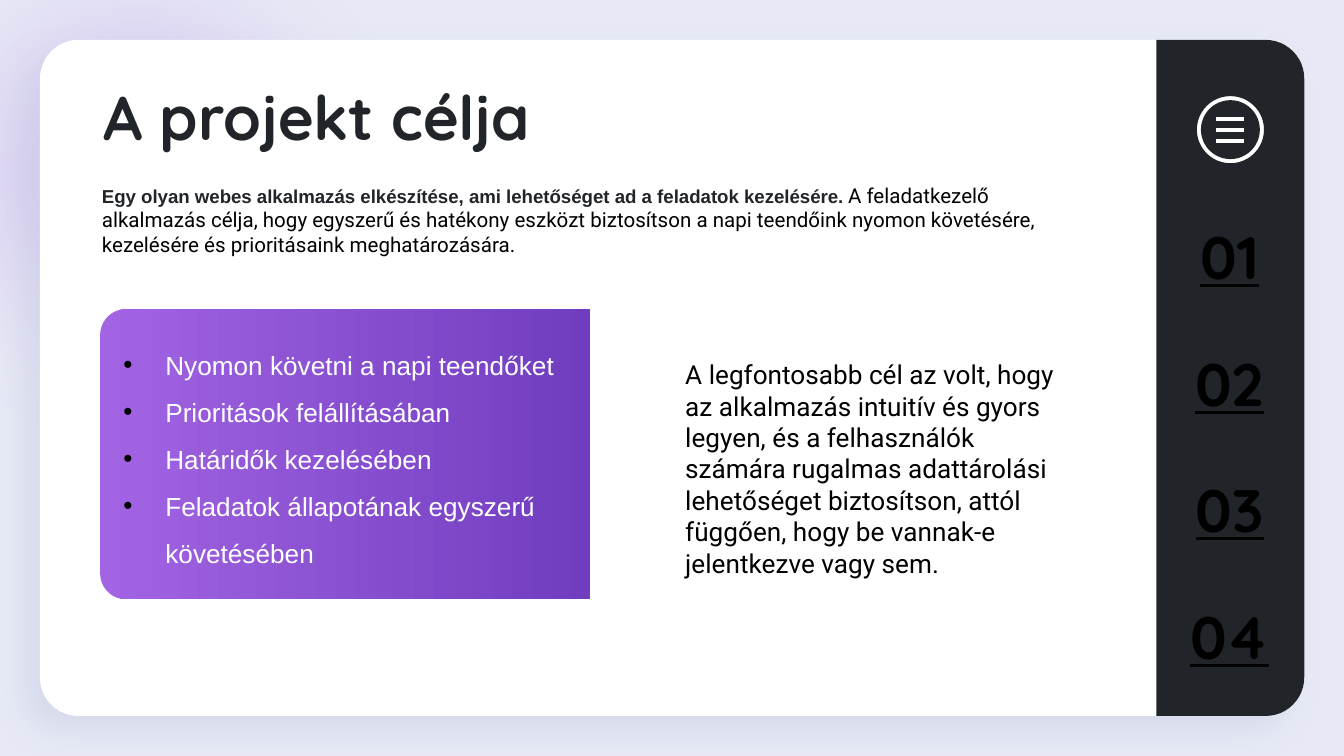
from dataclasses import dataclass

from lxml import etree
from pptx import Presentation
from pptx.dml.color import RGBColor
from pptx.enum.shapes import MSO_SHAPE
from pptx.enum.text import MSO_ANCHOR, MSO_AUTO_SIZE, PP_ALIGN
from pptx.oxml import parse_xml
from pptx.oxml.ns import nsdecls, qn
from pptx.util import Pt

OVAL = MSO_SHAPE.OVAL
DONUT = MSO_SHAPE.DONUT
RECTANGLE = MSO_SHAPE.RECTANGLE
ROUNDED = MSO_SHAPE.ROUNDED_RECTANGLE
ROUNDED_TOP = MSO_SHAPE.ROUND_2_SAME_RECTANGLE
TOP, MIDDLE = MSO_ANCHOR.TOP, MSO_ANCHOR.MIDDLE
LEFT, CENTER = PP_ALIGN.LEFT, PP_ALIGN.CENTER
FIXED, GROW = MSO_AUTO_SIZE.NONE, MSO_AUTO_SIZE.SHAPE_TO_FIT_TEXT


@dataclass(frozen=True)
class Theme:
    background: str = "E7E9F6"
    white: str = "FFFFFF"
    black: str = "000000"
    dark: str = "212428"
    violet: str = "A264E3"
    purple: str = "703DBF"
    shadow: str = "C7CCE2"
    heading_font: str = "Quicksand"
    body_font: str = "Roboto"
    list_font: str = "Arial"
    title_size: int = 33
    number_size: int = 32
    text_size: int = 14
    intro_size: int = 11
    lead_size: int = 10


THEME = Theme()
TITLE = {"name": THEME.heading_font, "size": Pt(THEME.title_size), "bold": True, "color": THEME.dark}
NUMBER = {"name": THEME.heading_font, "size": Pt(THEME.number_size), "bold": True,
          "underline": True, "color": THEME.black}
LEAD = {"name": THEME.list_font, "size": Pt(THEME.lead_size), "bold": True, "color": THEME.dark}
INTRO = {"name": THEME.body_font, "size": Pt(THEME.intro_size), "color": THEME.black}
GOAL = {"name": THEME.list_font, "size": Pt(THEME.text_size), "color": THEME.white}
BODY = {"name": THEME.body_font, "size": Pt(THEME.text_size), "color": THEME.black}

GOALS = [
    "Nyomon követni a napi teendőket",
    "Prioritások felállításában",
    "Határidők kezelésében",
    "Feladatok állapotának egyszerű követésében",
]
LEAD_TEXT = "Egy olyan webes alkalmazás elkészítése, ami lehetőséget ad a feladatok kezelésére. "
INTRO_TEXT = (
    "A feladatkezelő alkalmazás célja, hogy egyszerű és hatékony eszközt biztosítson a napi "
    "teendőink nyomon követésére, kezelésére és prioritásaink meghatározására."
)
BODY_TEXT = (
    "A legfontosabb cél az volt, hogy az alkalmazás intuitív és gyors legyen, és a felhasználók "
    "számára rugalmas adattárolási lehetőséget biztosítson, attól függően, hogy be vannak-e "
    "jelentkezve vagy sem."
)


def add_shape(slide, kind, box, color=None, adjustments=(), rotation=0, outline=None):
    shape = slide.shapes.add_shape(kind, *map(Pt, box))
    shape.rotation = rotation
    for index, value in enumerate(adjustments):
        shape.adjustments[index] = value
    if color:
        shape.fill.solid()
        shape.fill.fore_color.rgb = RGBColor.from_string(color)
    else:
        shape.fill.background()
    if outline:
        shape.line.color.rgb = RGBColor.from_string(outline)
        shape.line.width = Pt(0.75)
    else:
        shape.line.fill.background()
    shape.shadow.inherit = False
    return shape


def set_gradient(shape, stops, direction):
    stop_list = "".join(
        f'<a:gs pos="{position * 1000}"><a:srgbClr val="{color}">'
        f'<a:alpha val="{opacity * 1000}"/></a:srgbClr></a:gs>'
        for position, color, opacity in stops
    )
    gradient = parse_xml(
        f'<a:gradFill {nsdecls("a")} rotWithShape="1"><a:gsLst>{stop_list}</a:gsLst>{direction}</a:gradFill>'
    )
    properties = shape.element.spPr
    properties.replace(properties.find(qn("a:noFill")), gradient)


def add_shadow(shape, color, opacity, blur, distance, angle):
    effects = shape.element.spPr.find(qn("a:effectLst"))
    effects.append(parse_xml(
        f'<a:outerShdw {nsdecls("a")} blurRad="{Pt(blur)}" dist="{Pt(distance)}" '
        f'dir="{angle * 60000}" algn="bl" rotWithShape="0"><a:srgbClr val="{color}">'
        f'<a:alpha val="{opacity * 1000}"/></a:srgbClr></a:outerShdw>'
    ))


def add_text(slide, box, paragraphs, margins=(7.2, 3.6, 7.2, 3.6), anchor=TOP, alignment=LEFT, size=FIXED):
    frame = slide.shapes.add_textbox(*map(Pt, box)).text_frame
    left, top, right, bottom = map(Pt, margins)
    settings = {"margin_left": left, "margin_top": top, "margin_right": right, "margin_bottom": bottom,
                "word_wrap": True, "vertical_anchor": anchor, "auto_size": size}
    for name, value in settings.items():
        setattr(frame, name, value)
    for index, runs in enumerate(paragraphs):
        paragraph = frame.add_paragraph() if index else frame.paragraphs[0]
        paragraph.alignment = alignment
        for text, style in runs:
            add_run(paragraph, text, style)
    return frame


def add_run(paragraph, text, style):
    run = paragraph.add_run()
    run.text = text
    for name, value in style.items():
        if name == "color":
            run.font.color.rgb = RGBColor.from_string(value)
        else:
            setattr(run.font, name, value)


def set_bullet(paragraph, color, indent):
    paragraph.line_spacing = 1.5
    properties = paragraph._p.get_or_add_pPr()
    properties.set("marL", str(Pt(indent)))
    properties.set("indent", str(-Pt(indent)))
    bullet_color = etree.SubElement(properties, qn("a:buClr"))
    etree.SubElement(bullet_color, qn("a:srgbClr"), val=color)
    etree.SubElement(properties, qn("a:buFont"), typeface=THEME.list_font)
    etree.SubElement(properties, qn("a:buChar"), char="•")


def add_backdrop(slide):
    glow = add_shape(slide, OVAL, (-93.6, -74.9, 335.5, 335.5))
    set_gradient(
        glow,
        [(0, THEME.violet, 49), (62, THEME.background, 0), (100, THEME.white, 0)],
        '<a:path path="circle"><a:fillToRect l="50000" t="50000" r="50000" b="50000"/></a:path>',
    )
    card = add_shape(slide, ROUNDED, (21.4, 21.4, 677.4, 362.2), THEME.white, [0.057])
    add_shadow(card, THEME.shadow, 47, 16.9, 12, 137)
    add_shape(slide, ROUNDED_TOP, (478, 162.9, 362.2, 79.2), THEME.dark, [0.261, 0], 90)


def add_menu_icon(slide):
    add_shape(slide, DONUT, (640.8, 51.1, 36.7, 36.7), THEME.white, [0.08], outline=THEME.dark)
    for row in range(3):
        add_shape(slide, RECTANGLE, (651.3, 62.5 + 5.8 * row, 15.5, 2.8), THEME.white, outline=THEME.dark)


def add_navigation(slide):
    for index in range(4):
        add_text(slide, (630, 117.4 + 67.95 * index, 57.6, 38.8), [[(f"{index + 1:02}", NUMBER)]],
                 (7.2, 0, 7.2, 0), MIDDLE, CENTER, GROW)


def add_goals(slide):
    panel = add_shape(slide, ROUNDED_TOP, (107.3, 111.9, 155.5, 262.8), None, [0.089, 0], 270)
    set_gradient(panel, [(0, THEME.violet, 100), (100, THEME.purple, 100)], '<a:lin ang="5400000" scaled="0"/>')
    frame = add_text(slide, (59, 175, 257.8, 131), [[(goal, GOAL)] for goal in GOALS], size=GROW)
    for paragraph in frame.paragraphs:
        set_bullet(paragraph, THEME.black, 22.5)


def main():
    presentation = Presentation()
    presentation.slide_width, presentation.slide_height = Pt(720), Pt(405)
    slide = presentation.slides.add_slide(presentation.slide_layouts[6])
    slide.background.fill.solid()
    slide.background.fill.fore_color.rgb = RGBColor.from_string(THEME.background)

    add_backdrop(slide)
    add_goals(slide)
    heading_margins = (7.2, 0, 7.2, 7.2)
    add_text(slide, (47.5, 97.9, 538.6, 39.6), [[(LEAD_TEXT, LEAD), (INTRO_TEXT, INTRO)]], heading_margins)
    add_menu_icon(slide)
    add_text(slide, (48.2, 42.5, 536.4, 37.4), [[("A projekt célja", TITLE)]], heading_margins)
    add_navigation(slide)
    add_text(slide, (360, 188.6, 216.7, 108.7), [[(BODY_TEXT, BODY)]], size=GROW)
    presentation.save("out.pptx")


if __name__ == "__main__":
    main()
